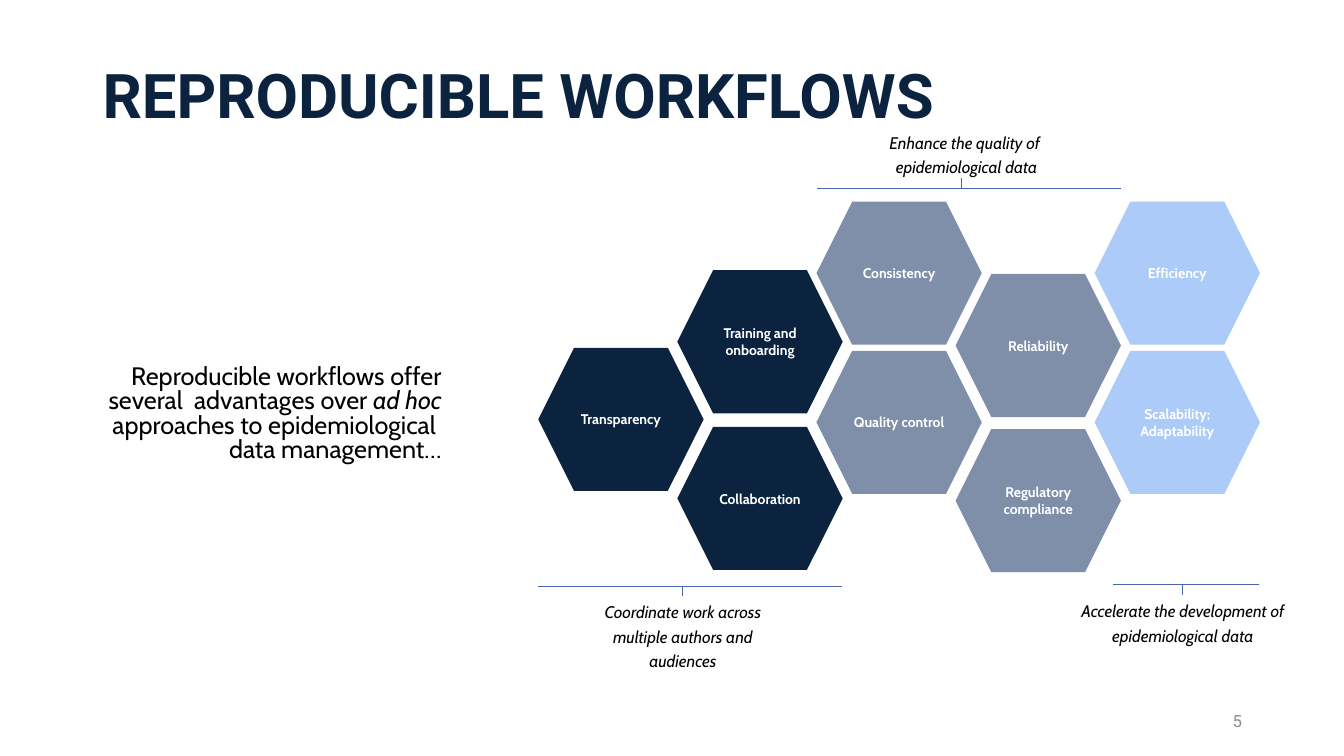
import pptx
import pptx.util
import pptx.dml.color
import pptx.enum.shapes
import pptx.enum.text
import pptx.oxml.ns
import lxml.etree

CELL = 0.1  # inches; the slide is a grid of square cells
STEP, RISE = 13.8, 7.4  # columns and half rows of the honeycomb, in cells
LEFT, TOP = 53.4, 20
WIDE, HIGH = 16.4, 14.2
COLORS = {"navy": "0C2340", "slate": "7F8FA9", "sky": "ACCBF9", "rule": "4A66AC",
          "white": "FFFFFF", "black": "000000", "gray": "8C8C8C"}
ALIGN = pptx.enum.text.PP_ALIGN
MIDDLE = pptx.enum.text.MSO_ANCHOR.MIDDLE

# Each theme: colour, hexagons (label, column, half row), note area, note lines,
# bracket (left, right, height, stem column, stem end)
THEMES = [
    ("slate",
     [("Consistency", 0, 0), ("Quality control", 0, 2),
      ("Reliability", 1, 0.97), ("Regulatory compliance", 1, 3.05)],
     (80.1, 12.4, 31.6, 5.5), ["Enhance the quality of ", "epidemiological data"],
     (81.1, 111.2, 18.7, 95.4, 17.7)),
    ("sky",
     [("Efficiency", 2, 0), ("Scalability; Adaptability", 2, 2)],
     (106.6, 58.9, 21.5, 5.4), ["Accelerate the development of epidemiological data"],
     (110.4, 124.9, 58, 117.3, 59)),
    ("navy",
     [("Training and onboarding", -1, 0.92), ("Collaboration", -1, 3.02),
      ("Transparency", -2, 1.96)],
     (58.4, 59, 18.7, 7.9), ["Coordinate work across multiple authors and audiences"],
     (53.4, 83.5, 58.2, 67.7, 59.1)),
]


def cells(*counts):
    return [pptx.util.Inches(n * CELL) for n in counts]


def paint(name):
    return pptx.dml.color.RGBColor.from_string(COLORS[name])


def style(para, face, size, color, bold=False):
    for run in para.runs:
        font = run.font
        font.name, font.size, font.bold = face, pptx.util.Pt(size), bold
        font.color.rgb = paint(color)


def label(shapes, area, text, face, size, color, align=ALIGN.LEFT, bold=False):
    frame = shapes.add_textbox(*cells(*area)).text_frame
    frame.word_wrap = True
    para = frame.paragraphs[0]
    para.text = text
    para.alignment = align
    style(para, face, size, color, bold)
    return frame


def note(shapes, area, lines, size, align):
    """Add a tightly set text; a "*" switches italics on or off."""
    frame = label(shapes, area, "", "Cabin", size, "black", align)
    frame.margin_left = frame.margin_right = pptx.util.Inches(0.05)
    frame.margin_top = frame.margin_bottom = pptx.util.Inches(0.03)
    para = frame.paragraphs[0]
    para.line_spacing = pptx.util.Pt(17.5)
    for row, line in enumerate(lines):
        if row:
            para.add_line_break()
        for turn, part in enumerate(line.split("*")):
            if part:
                run = para.add_run()
                run.text = part
                run.font.italic = turn % 2 == 1
    style(para, "Cabin", size, "black")


def hexagon(shapes, text, col, row, color):
    area = cells(LEFT + (col + 2) * STEP, TOP + row * RISE, WIDE, HIGH)
    shape = shapes.add_shape(pptx.enum.shapes.MSO_SHAPE.HEXAGON, *area)
    shape.shadow.inherit = False
    shape.fill.solid()
    shape.fill.fore_color.rgb = paint(color)
    shape.line.fill.background()
    frame = shape.text_frame
    frame.word_wrap = True
    frame.vertical_anchor = MIDDLE
    para = frame.paragraphs[0]
    para.text = text
    para.alignment = ALIGN.CENTER
    style(para, "Cabin", 10, "white", True)


def rule(shapes, *ends):
    kind = pptx.enum.shapes.MSO_CONNECTOR.STRAIGHT
    line = shapes.add_connector(kind, *cells(*ends))
    line.line.color.rgb = paint("rule")
    line.line.width = pptx.util.Pt(0.5)
    props = line.element.spPr
    lxml.etree.SubElement(props, pptx.oxml.ns.qn("a:effectLst"))


def bracket(shapes, left, right, base, stem, tip):
    rule(shapes, stem, tip, stem, base)
    rule(shapes, left, base, right, base)


def theme(slide, color, items, area, lines, span):
    """Add one group of hexagons with its bracket and note."""
    shapes = slide.shapes.add_group_shape().shapes
    for text, col, row in items:
        hexagon(shapes, text, col, row, color)
    note(shapes, area, ["*" + line for line in lines], 12, ALIGN.CENTER)
    bracket(shapes, *span)


def main():
    deck = pptx.Presentation()
    deck.slide_width, deck.slide_height = cells(133.33, 75)
    slide = deck.slides.add_slide(deck.slide_layouts[6])
    title = label(slide.shapes, (9.2, 6, 115, 7.7), "REPRODUCIBLE WORKFLOWS",
                  "Roboto", 44, "navy", bold=True)
    title.paragraphs[0].line_spacing = 0.9
    number = label(slide.shapes, (94.2, 69.5, 30, 4), "5",
                   "Roboto", 12, "gray", ALIGN.RIGHT)
    number.vertical_anchor = MIDDLE
    note(slide.shapes, (9.2, 36, 35.1, 10.7),
         ["Reproducible workflows offer several  advantages over *ad hoc*"
          " approaches to epidemiological ", "data management…"], 18, ALIGN.RIGHT)
    for row in THEMES:
        theme(slide, *row)
    deck.save("out.pptx")


if __name__ == "__main__":
    main()
